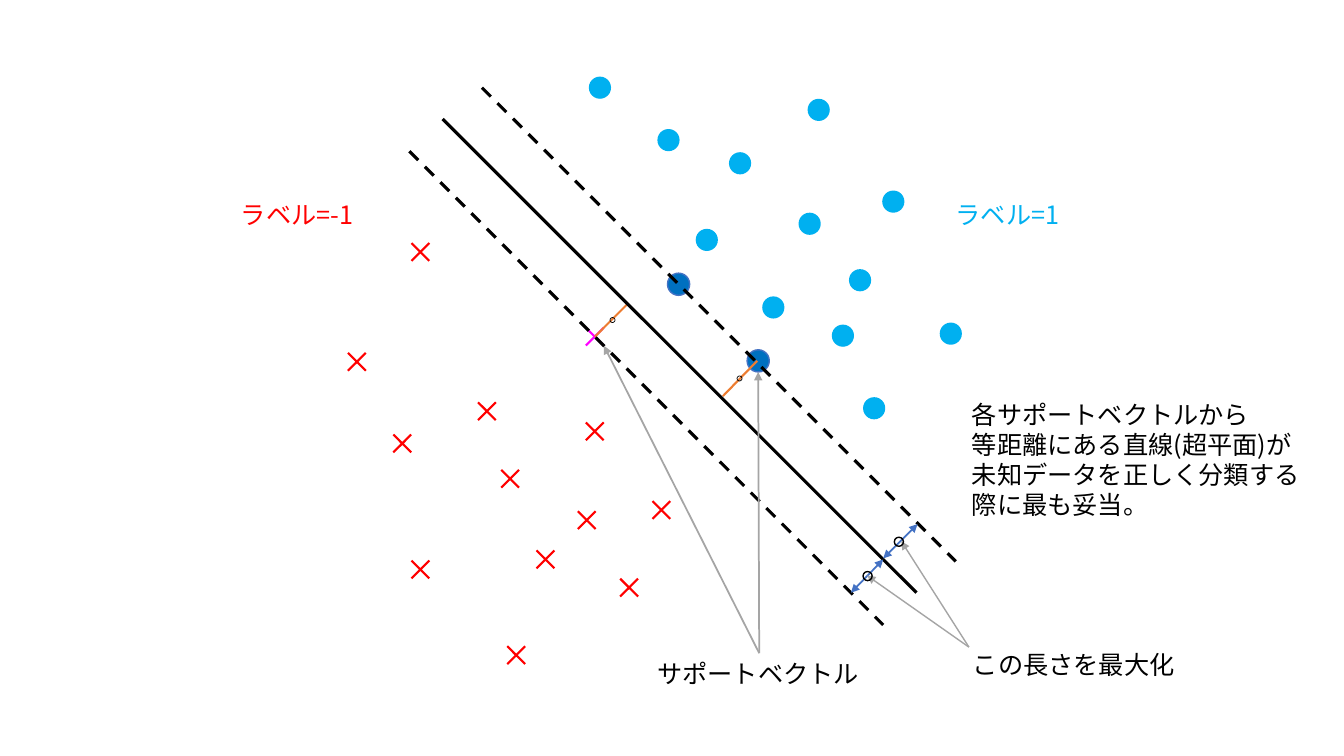
from lxml.etree import SubElement
from pptx import Presentation
from pptx.dml.color import RGBColor
from pptx.enum.dml import MSO_LINE
from pptx.enum.shapes import MSO_CONNECTOR, MSO_SHAPE
from pptx.enum.text import MSO_AUTO_SIZE
from pptx.oxml.ns import qn
from pptx.util import Emu, Pt

FONT = "Noto Sans CJK JP"
BLACK, GRAY, RED, MAGENTA = "000000", "A5A5A5", "FF0000", "FF00FF"
SKY, NAVY, BLUE, ORANGE = "00B0F0", "0070C0", "4472C4", "ED7D31"
CROSS, DOT = 34, 22

NEGATIVES = [(70, 163), (7, 272), (165, 563), (70, 478), (136, 321), (52, 353),
             (243, 341), (309, 419), (235, 429), (159, 388), (277, 496), (194, 468)]
POSITIVES = [(322, 58), (254, 6), (360, 157), (393, 81), (462, 141), (426, 224),
             (545, 119), (512, 197), (471, 28), (495, 252), (602, 250), (526, 324)]
NEGATIVE_SUPPORT = (243, 247)
POSITIVE_SUPPORTS = [(332, 201), (411, 277)]


def px(length):
    """Turn px, 100 to the inch, into EMU."""
    return Emu(length * 9144)


def color(code):
    """Turn a hex string into a colour."""
    return RGBColor.from_string(code)


def add_mark(slide, box, place, size, preset, fill=None, outline=None, weight=1):
    """Add a square mark at a place within the box."""
    left, top = box[0] + place[0], box[1] + place[1]
    mark = slide.shapes.add_shape(preset, px(left), px(top), px(size), px(size))
    mark.shadow.inherit = False
    if fill:
        mark.fill.solid()
        mark.fill.fore_color.rgb = color(fill)
    else:
        mark.fill.background()
    if outline:
        mark.line.color.rgb = color(outline)
        mark.line.width = Pt(weight)
    else:
        mark.line.fill.background()
    return mark


def add_cross(slide, box, place, fill):
    """Add a thin cross for one negative sample."""
    add_mark(slide, box, place, CROSS, MSO_SHAPE.MATH_MULTIPLY, fill).adjustments[0] = 0.063


def add_line(slide, box, start, end, stroke, weight, dashed=False, arrows=()):
    """Add a straight line within the box, with arrowheads on the named ends."""
    left, top = box
    line = slide.shapes.add_connector(
        MSO_CONNECTOR.STRAIGHT, px(left + start[0]), px(top + start[1]),
        px(left + end[0]), px(top + end[1]))
    line.line.color.rgb = color(stroke)
    line.line.width = Pt(weight)
    if dashed:
        line.line.dash_style = MSO_LINE.DASH
    properties = line._element.spPr
    for end_name in arrows:
        SubElement(properties.find(qn("a:ln")), qn(f"a:{end_name}"), type="triangle")
    SubElement(properties, qn("a:effectLst"))


def add_label(slide, box, lines, ink=BLACK):
    """Add a text label with one paragraph for each line."""
    label = slide.shapes.add_textbox(*map(px, box)).text_frame
    label.word_wrap = True
    label.auto_size = MSO_AUTO_SIZE.SHAPE_TO_FIT_TEXT
    label.text = "\n".join(lines)
    for paragraph in label.paragraphs:
        paragraph.font.size = Pt(18)
        paragraph.font.color.rgb = color(ink)
        paragraph.font.name = FONT
        SubElement(paragraph._p.pPr.find(qn("a:defRPr")), qn("a:ea"), typeface=FONT)


def draw_samples(slide, box):
    """Draw both classes and their support vectors."""
    for place in POSITIVE_SUPPORTS:
        add_mark(slide, box, place, DOT, MSO_SHAPE.OVAL, NAVY, BLUE)
    add_cross(slide, box, NEGATIVE_SUPPORT, MAGENTA)
    for place in NEGATIVES:
        add_cross(slide, box, place, RED)
    for place in POSITIVES:
        add_mark(slide, box, place, DOT, MSO_SHAPE.OVAL, SKY)


def draw_boundary(slide, box, length):
    """Draw the separating line, its margins and the equal distances to them."""
    distances = [((345, 271), (311, 306), (325, 286)),
                 ((216, 215), (184, 247), (199, 228))]
    for support, foot, equal_sign in distances:
        add_line(slide, box, support, foot, ORANGE, 1.5)
        add_mark(slide, box, equal_sign, 5, MSO_SHAPE.OVAL, outline=BLACK, weight=0.5)
    for start, dashed in [((33, 31), False), ((72, 0), True), ((0, 63), True)]:
        end = (start[0] + length, start[1] + length)
        add_line(slide, box, start, end, BLACK, 2.25, dashed)


def draw_support_callout(slide, box):
    """Point from the support vector label to two support vectors."""
    for target in [(153, 26), (0, 0)]:
        add_line(slide, box, (154, 305), target, GRAY, 1.25, arrows=["tailEnd"])
    add_label(slide, (box[0] + 43, box[1] + 305, 222, 40), ["サポートベクトル"])


def draw_margin_callout(slide, box):
    """Draw the margin widths and the label that points to them."""
    for start, end in [((0, 68), (32, 35)), ((32, 34), (66, 0))]:
        add_line(slide, box, start, end, BLUE, 1.25, arrows=["headEnd", "tailEnd"])
    for target, equal_sign in [((16, 51), (12, 47)), ((50, 17), (43, 13))]:
        add_line(slide, box, (117, 122), target, GRAY, 1, arrows=["tailEnd"])
        add_mark(slide, box, equal_sign, 9, MSO_SHAPE.OVAL, outline=BLACK)
    add_label(slide, (box[0] + 111, box[1] + 119, 222, 40), ["この長さを最大化"])


def main():
    """Build the slide and save it."""
    deck = Presentation()
    deck.slide_width, deck.slide_height = px(1333), px(750)
    slide = deck.slides.add_slide(deck.slide_layouts[6])
    draw_samples(slide, (330, 70))
    draw_boundary(slide, (406, 87), 470)
    add_label(slide, (229, 193, 139, 40), ["ラベル=-1"], RED)
    add_label(slide, (938, 193, 128, 40), ["ラベル=1"], SKY)
    add_label(slide, (954, 391, 348, 131),
              ["各サポートベクトルから", "等距離にある直線(超平面)が",
               "未知データを正しく分類する", "際に最も妥当。"])
    draw_support_callout(slide, (599, 343))
    draw_margin_callout(slide, (844, 520))
    deck.save("out.pptx")


if __name__ == "__main__":
    main()
